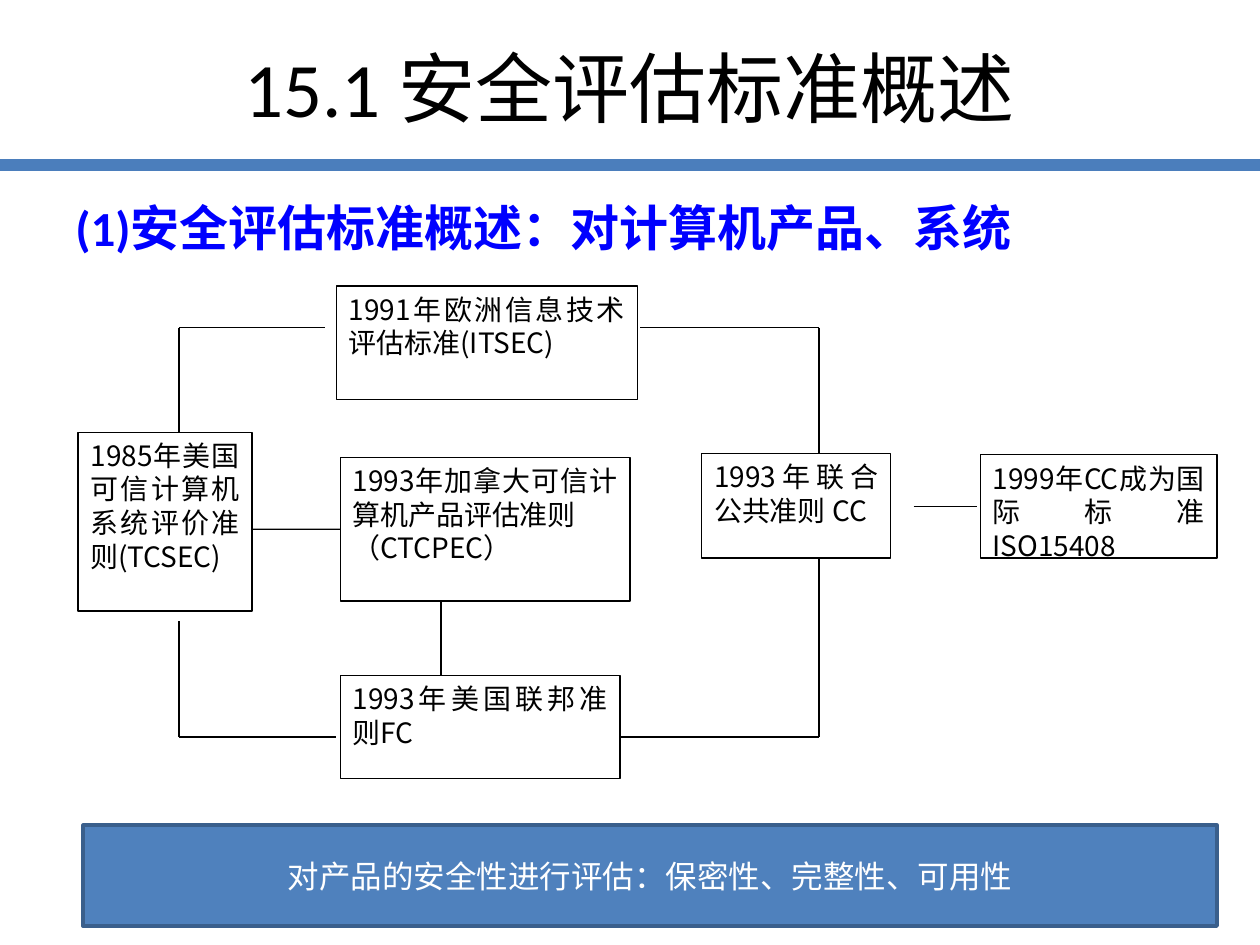
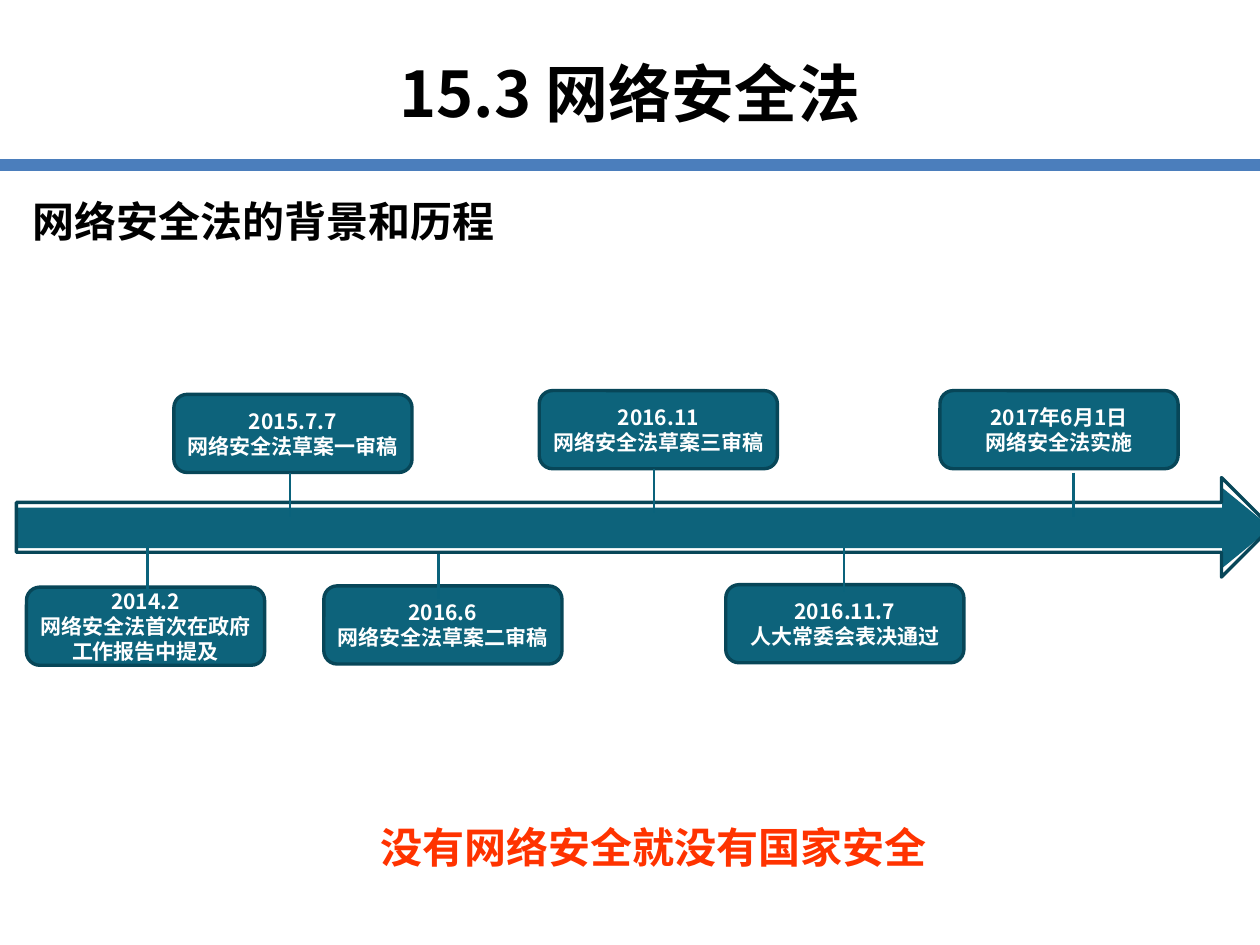
from lxml import etree
from pptx import Presentation
from pptx import util as u
from pptx.dml.color import RGBColor
from pptx.enum import shapes, text
from pptx.oxml.ns import qn

COLORS = {
    "band": "4B7EBC", "black": "000000", "white": "FFFFFF", "heading": "0000FF",
    "summary": "4F81BD", "summary_edge": "3A5F8C",
    "teal": "0D637B", "teal_edge": "074658", "tick": "0A627B", "slogan": "FF3300",
}
RGB = {name: RGBColor.from_string(value) for name, value in COLORS.items()}
NOTO = "Noto Sans CJK SC"
ALIGN = text.PP_ALIGN
SHAPE = shapes.MSO_SHAPE


def write(shape, lines, size, color="black", font=NOTO, bold=False, align=ALIGN.CENTER,
          anchor=text.MSO_ANCHOR.MIDDLE, insets=(0.1, 0.05, 0.1, 0.05)):
    frame = shape.text_frame
    frame.word_wrap = True
    frame.vertical_anchor = anchor
    frame.margin_left, frame.margin_top, frame.margin_right, frame.margin_bottom = map(u.Inches, insets)
    frame.text = "\n".join(lines)
    for paragraph in frame.paragraphs:
        paragraph.alignment = align
        paragraph.font.size = u.Pt(size)
        paragraph.font.bold = bold
        paragraph.font.name = font
        paragraph.font.color.rgb = RGB[color]
        default_run = paragraph._p.pPr.find(qn("a:defRPr"))
        etree.SubElement(default_run, qn("a:ea")).set("typeface", NOTO)
    return frame


def draw_line(slide, x1, y1, x2, y2, color="black", width=0.75):
    line = slide.shapes.add_connector(shapes.MSO_CONNECTOR.STRAIGHT, *map(u.Inches, (x1, y1, x2, y2)))
    line.line.color.rgb = RGB[color]
    line.line.width = u.Pt(width)
    etree.SubElement(line._element.spPr, qn("a:effectLst"))
    return line


prs = Presentation()
prs.slide_width, prs.slide_height = u.Inches(10), u.Inches(7.5)

titles = [
    ("15.1 安全评估标准概述", 0.3, 44, "Calibri", False),
    ("15.3 网络安全法", 0.35, 36, NOTO, True),
]
for title, top, size, font, bold in titles:
    slide = prs.slides.add_slide(prs.slide_layouts[6])
    draw_line(slide, 0, 1.31, 10, 1.31, "band", 7)
    title_box = slide.shapes.add_textbox(*map(u.Inches, (0.5, top, 9, 0.77)))
    write(title_box, [title], size, font=font, bold=bold)
standards, law = prs.slides

heading = standards.shapes.add_textbox(*map(u.Inches, (0.5, 1.57, 7.87, 0.54)))
heading_frame = write(heading, ["(1)安全评估标准概述：对计算机产品、系统"], 28, "heading", "Calibri", True,
                      ALIGN.LEFT, text.MSO_ANCHOR.TOP)
heading_frame.paragraphs[0].line_spacing = 0.9

criteria = {
    "ITSEC": (2.67, 2.27, 2.39, 0.9, ["1991年欧洲信息技术评估标准(ITSEC)"]),
    "CTCPEC": (2.7, 3.63, 2.3, 1.14, ["1993年加拿大可信计算机产品评估准则", "（CTCPEC）"]),
    "CC": (5.57, 3.6, 1.5, 0.83, ["1993年联合公共准则 CC"]),
    "FC": (2.7, 5.36, 2.22, 0.82, ["1993年美国联邦准则FC"]),
    "ISO": (7.78, 3.61, 1.88, 0.82, ["1999年CC成为国际标准 ISO15408"]),
    "TCSEC": (0.62, 3.43, 1.38, 1.42, ["1985年美国可信计算机系统评价准则(TCSEC)"]),
}
criterion_boxes = {}
for name, (*place, lines) in criteria.items():
    box = standards.shapes.add_shape(SHAPE.RECTANGLE, *map(u.Inches, place))
    box.shadow.inherit = False
    box.fill.solid()
    box.fill.fore_color.rgb = RGB["white"]
    box.line.color.rgb = RGB["black"]
    box.line.width = u.Pt(0.75)
    write(box, lines, 16, align=ALIGN.JUSTIFY, anchor=text.MSO_ANCHOR.TOP)
    criterion_boxes[name] = box

routes = [
    [(1.42, 3.43), (1.42, 2.6), (2.58, 2.6)],
    [(1.42, 4.93), (1.42, 5.85), (2.67, 5.85)],
    [(5.08, 2.6), (6.5, 2.6), (6.5, 3.6)],
    [(4.92, 5.85), (6.5, 5.85), (6.5, 4.42)],
    [(3.5, 4.77), (3.5, 5.36)],
    [(7.25, 4.02), (7.75, 4.02)],
]
for route in routes:
    for start, end in zip(route, route[1:]):
        draw_line(standards, *start, *end)
draw_line(standards, 2, 4.2, 2.7, 4.2).end_connect(criterion_boxes["CTCPEC"], 1)

summary = standards.shapes.add_shape(SHAPE.RECTANGLE, *map(u.Inches, (0.66, 6.55, 9, 0.8)))
summary.shadow.inherit = False
summary.fill.solid()
summary.fill.fore_color.rgb = RGB["summary"]
summary.line.color.rgb = RGB["summary_edge"]
summary.line.width = u.Pt(2)
write(summary, ["对产品的安全性进行评估：保密性、完整性、可用性"], 18, "white", "Calibri")

milestones = [
    (0.21, 4.66, 1.17, 4.33, ["2014.2", "网络安全法首次在政府工作报告中提及"]),
    (1.38, 3.13, 2.3, 3.75, ["2015.7.7", "网络安全法草案一审稿"]),
    (2.57, 4.65, 3.48, 4.4, ["2016.6", "网络安全法草案二审稿"]),
    (4.28, 3.1, 5.19, 3.72, ["2016.11", "网络安全法草案三审稿"]),
    (5.76, 4.64, 6.7, 4.35, ["2016.11.7", "人大常委会表决通过"]),
    (7.46, 3.1, 8.52, 3.75, ["2017年6月1日", "网络安全法实施"]),
]
for left, top, _, _, lines in milestones:
    card = law.shapes.add_shape(SHAPE.ROUNDED_RECTANGLE, *map(u.Inches, (left, top, 1.89, 0.62)))
    card.adjustments[0] = 0.17
    card.shadow.inherit = False
    card.fill.solid()
    card.fill.fore_color.rgb = RGB["teal"]
    card.line.color.rgb = RGB["teal_edge"]
    card.line.width = u.Pt(1.92)
    write(card, lines, 12, "white", bold=True, insets=(0.05, 0, 0.05, 0))

for top, height, head_ratio, filled in [(3.87, 0.64, 0.61, True), (3.79, 0.79, 0.5, False)]:
    timeline = law.shapes.add_shape(SHAPE.RIGHT_ARROW, *map(u.Inches, (0.13, top, 9.96, height)))
    timeline.adjustments[0], timeline.adjustments[1] = 0.5, head_ratio
    timeline.shadow.inherit = False
    if filled:
        timeline.fill.solid()
        timeline.fill.fore_color.rgb = RGB["teal"]
        timeline.line.fill.background()
    else:
        timeline.fill.background()
        timeline.line.color.rgb = RGB["teal_edge"]
        timeline.line.width = u.Pt(1.92)

for _, _, tick_x, tick_top, _ in milestones:
    draw_line(law, tick_x, tick_top, tick_x, tick_top + 0.35, "tick", 1.44)

captions = [
    ("网络安全法的背景和历程", 0.26, 1.39, 6.65, "black", ALIGN.LEFT),
    ("没有网络安全就没有国家安全", 2.62, 6.36, 5.13, "slogan", ALIGN.CENTER),
]
for caption, left, top, width, color, align in captions:
    caption_box = law.shapes.add_textbox(*map(u.Inches, (left, top, width, 0.62)))
    write(caption_box, [caption], 24, color, bold=True, align=align,
          anchor=text.MSO_ANCHOR.TOP, insets=(0, 0.16, 0, 0))

prs.save("out.pptx")
